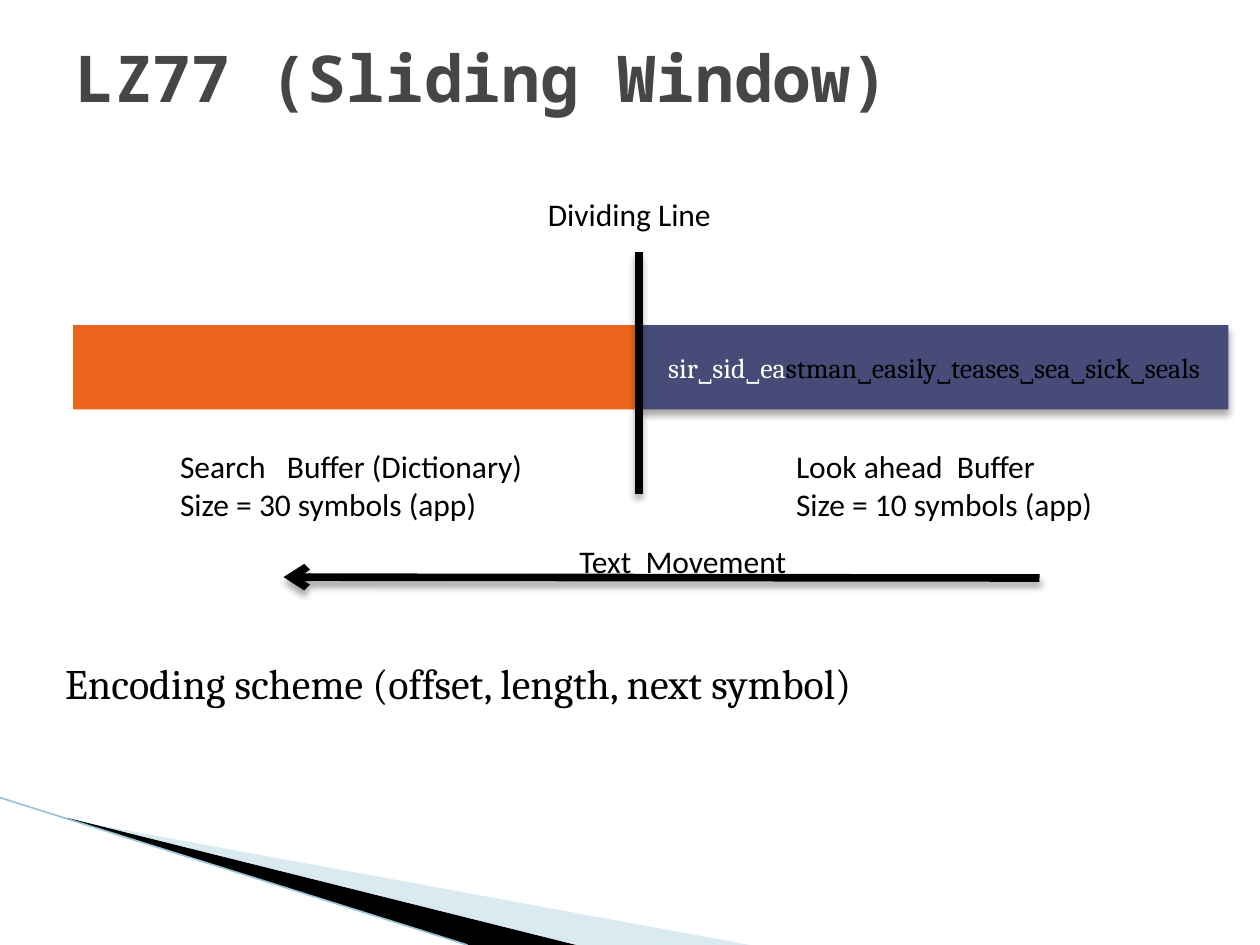
from dataclasses import dataclass

from pptx import Presentation
from pptx.dml.color import RGBColor
from pptx.enum.shapes import MSO_CONNECTOR, MSO_SHAPE
from pptx.enum.text import MSO_ANCHOR, MSO_AUTO_SIZE, PP_ALIGN
from pptx.oxml.ns import qn
from pptx.oxml.xmlchemy import OxmlElement
from pptx.util import Pt

RECT = MSO_SHAPE.RECTANGLE
LINE = MSO_CONNECTOR.STRAIGHT
MIDDLE = MSO_ANCHOR.MIDDLE
TOP = MSO_ANCHOR.TOP
CENTER = PP_ALIGN.CENTER
GROW = MSO_AUTO_SIZE.SHAPE_TO_FIT_TEXT
FIXED = MSO_AUTO_SIZE.NONE

BLACK = RGBColor(0x00, 0x00, 0x00)
WHITE = RGBColor(0xFF, 0xFF, 0xFF)
GRAY = RGBColor(0x46, 0x46, 0x46)
ORANGE = RGBColor(0xEB, 0x64, 0x1B)
INDIGO = RGBColor(0x47, 0x4B, 0x78)
PALE = RGBColor(0xA0, 0xCB, 0xDC)
SKY = RGBColor(0x97, 0xC5, 0xD8)

BODY = {"name": "Calibri", "size": Pt(18)}
SERIF = {"name": "Cambria", "size": Pt(24)}
CODE = {"name": "Cambria", "size": Pt(16)}
HEAD = {"name": "Noto Sans Mono", "size": Pt(36.9), "bold": True}


@dataclass
class Wedge:
    points: list[tuple[float, float]]
    color: RGBColor
    alpha: int = 100


@dataclass
class Bar:
    left: float
    width: float
    color: RGBColor
    shade: bool = False


@dataclass
class Rule:
    start: tuple[float, float]
    end: tuple[float, float]
    color: RGBColor = BLACK
    width: float = 4.33
    shade: bool = True
    arrow: bool = False


@dataclass
class Label:
    box: tuple[float, float, float, float]
    lines: list[str]
    font: dict
    color: RGBColor = BLACK
    wrap: bool = True
    size: MSO_AUTO_SIZE = GROW
    anchor: MSO_ANCHOR = TOP


WEDGES = [
    Wedge([(39.6, 468.5), (428.4, 540), (328.3, 540), (39.6, 468)], PALE, 40),
    Wedge([(38.2, 467.3), (329, 540), (267.8, 540), (38.9, 468)], BLACK),
]
EDGE = Rule((0, 455.8), (267.1, 540), SKY, 0.95, shade=False)
BARS = [Bar(41.8, 324, ORANGE), Bar(365.8, 336.2, INDIGO, shade=True)]
DIVIDER = Rule((365, 144), (365, 282.2))
ARROW = Rule((594, 330.3), (162, 329.8), arrow=True)
LABELS = [
    Label((36, 21.6, 648, 44.6), ["LZ77 (Sliding Window)"], HEAD, GRAY,
          size=FIXED, anchor=MIDDLE),
    Label((95.8, 252, 212.4, 51),
          ["Search   Buffer (Dictionary)", "Size = 30 symbols (app)"], BODY),
    Label((447.8, 252, 185.8, 51),
          ["Look ahead  Buffer", "Size = 10 symbols (app)"], BODY, wrap=False),
    Label((306, 108, 108.7, 29), ["Dividing Line"], BODY, wrap=False),
    Label((324, 306, 133.9, 29), ["Text  Movement"], BODY, wrap=False),
    Label((30.2, 372.2, 653.8, 36.7),
          ["Encoding scheme (offset, length, next symbol)"], SERIF),
]
STREAM = [("sir˽sid˽ea", WHITE), ("stman˽easily˽teases˽sea˽sick˽seals", BLACK)]


def add_node(parent, tag: str, **attrs):
    node = OxmlElement(tag)
    for key, value in attrs.items():
        node.set(key, str(value))
    parent.append(node)
    return node


def set_shade(item, shade: bool) -> None:
    effect = add_node(item._element.spPr, "a:effectLst")
    if shade:
        outer = add_node(effect, "a:outerShdw", blurRad=Pt(4), dist=Pt(3),
                         dir=90 * 60000, rotWithShape=0)
        tint = add_node(outer, "a:srgbClr", val=BLACK)
        add_node(tint, "a:alpha", val=35000)


def set_fill(item, color: RGBColor, shade: bool = False) -> None:
    item.fill.solid()
    item.fill.fore_color.rgb = color
    item.line.fill.background()
    set_shade(item, shade)


def add_run(para, text: str, font: dict, color: RGBColor) -> None:
    run = para.add_run()
    run.text = text
    for key, value in font.items():
        setattr(run.font, key, value)
    run.font.color.rgb = color


def draw_wedge(shapes, wedge: Wedge) -> None:
    points = [(Pt(x), Pt(y)) for x, y in wedge.points]
    path = shapes.build_freeform(*points[0])
    path.add_line_segments(points[1:], close=True)
    item = path.convert_to_shape()
    set_fill(item, wedge.color)
    if wedge.alpha < 100:
        tint = item._element.spPr.find(f"{qn('a:solidFill')}/{qn('a:srgbClr')}")
        add_node(tint, "a:alpha", val=wedge.alpha * 1000)


def draw_bar(shapes, bar: Bar):
    item = shapes.add_shape(RECT, Pt(bar.left), Pt(185.8), Pt(bar.width), Pt(48.2))
    set_fill(item, bar.color, bar.shade)
    return item


def draw_rule(shapes, rule: Rule) -> None:
    ends = [Pt(value) for value in rule.start + rule.end]
    item = shapes.add_connector(LINE, *ends)
    item.line.color.rgb = rule.color
    item.line.width = Pt(rule.width)
    if rule.arrow:
        add_node(item.line._get_or_add_ln(), "a:tailEnd", type="arrow")
    set_shade(item, rule.shade)


def draw_label(shapes, label: Label) -> None:
    frame = shapes.add_textbox(*map(Pt, label.box)).text_frame
    form = {"word_wrap": label.wrap, "auto_size": label.size,
            "vertical_anchor": label.anchor}
    for key, value in form.items():
        setattr(frame, key, value)
    for index, text in enumerate(label.lines):
        para = frame.add_paragraph() if index else frame.paragraphs[0]
        add_run(para, text, label.font, label.color)


def main() -> None:
    deck = Presentation()
    deck.slide_width, deck.slide_height = Pt(720), Pt(540)
    shapes = deck.slides.add_slide(deck.slide_layouts[6]).shapes
    for wedge in WEDGES:
        draw_wedge(shapes, wedge)
    draw_rule(shapes, EDGE)
    search, ahead = [draw_bar(shapes, bar) for bar in BARS]
    para = ahead.text_frame.paragraphs[0]
    para.alignment = CENTER
    for text, color in STREAM:
        add_run(para, text, CODE, color)
    for rule in (DIVIDER, ARROW):
        draw_rule(shapes, rule)
    for label in LABELS:
        draw_label(shapes, label)
    deck.save("out.pptx")


if __name__ == "__main__":
    main()
